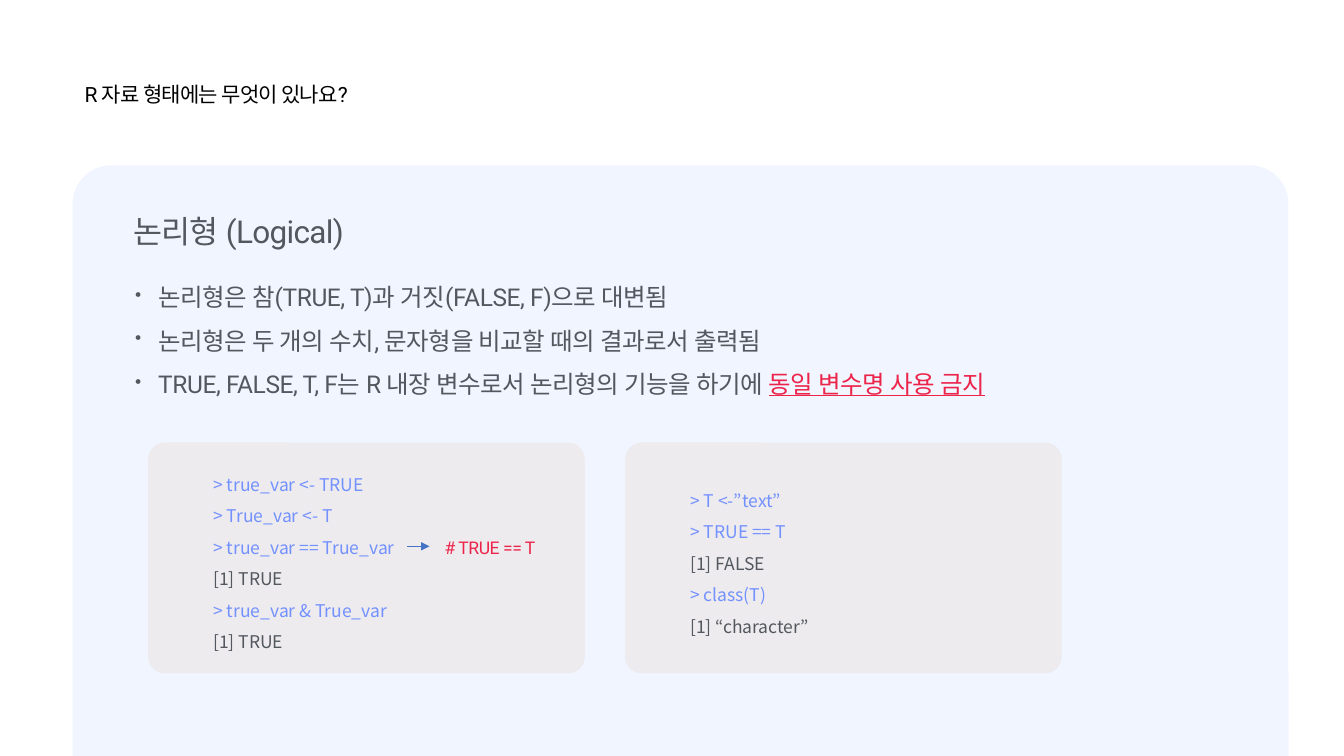
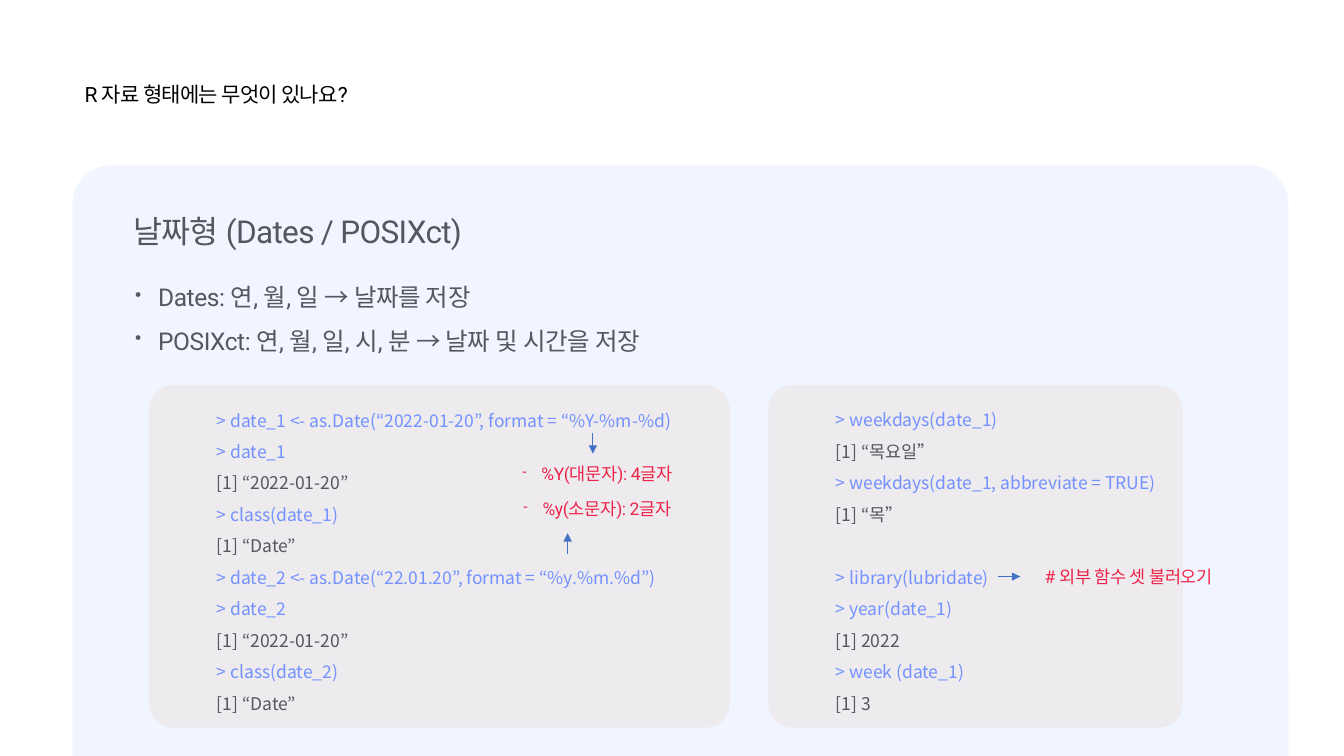
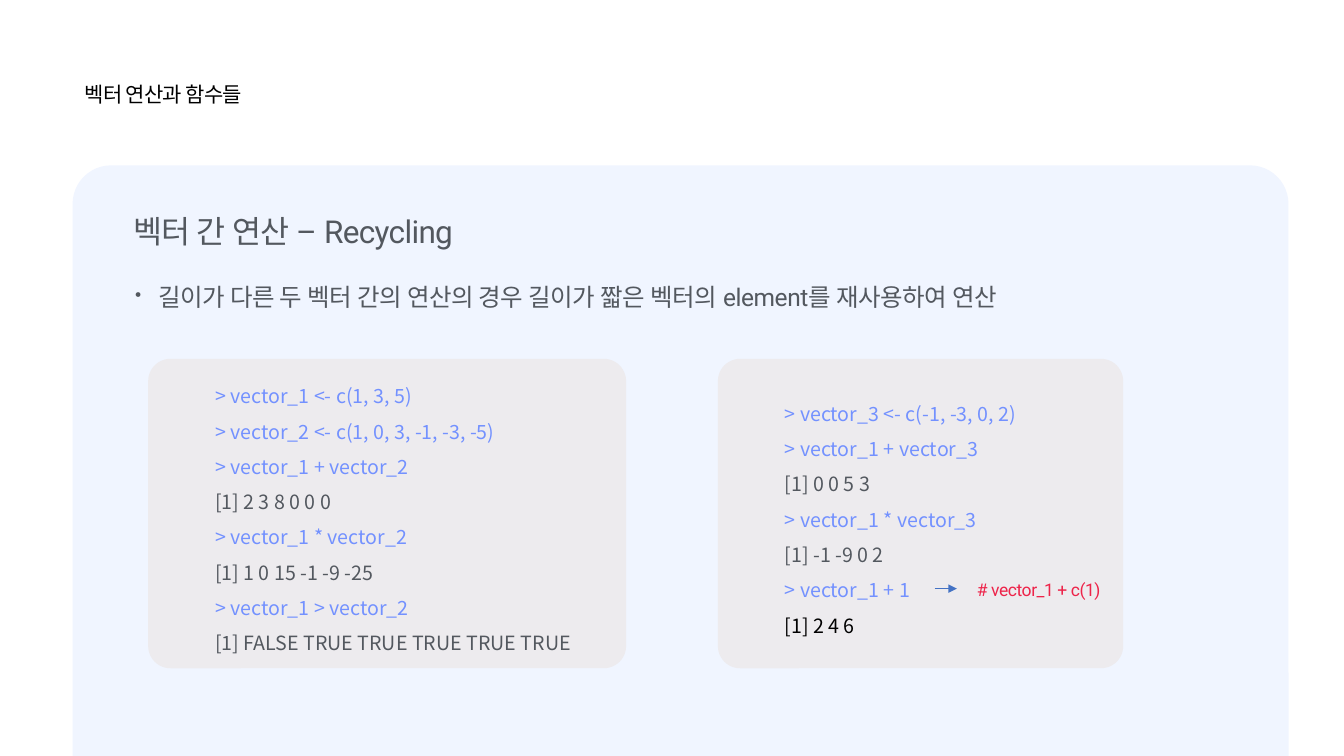
import dataclasses

import pptx
import pptx.dml.color
import pptx.enum.shapes
import pptx.enum.text
import pptx.oxml.ns
import pptx.util
from lxml import etree

PX = 9144  # EMU in one px, 100 px to the inch
ALIGN = pptx.enum.text.PP_ALIGN
SHAPE = pptx.enum.shapes.MSO_SHAPE
ANCHOR = pptx.enum.text.MSO_ANCHOR


@dataclasses.dataclass(frozen=True)
class TextStyle:
    size: float
    color: str
    font: str = "Roboto"
    tracking: int = 0  # hundredths of a point


class Theme:
    """Colours and type styles shared by all slides."""
    panel = "F0F5FF"
    code_box = "EDEBEE"
    arrow = "4472C4"
    black = "000000"
    gray = "53585F"
    command = "7391FF"
    accent = "ED244A"
    code_font = "Noto Sans CJK KR"
    title = TextStyle(15, black, tracking=-60)
    heading = TextStyle(22.5, gray, tracking=-50)
    body = TextStyle(17.5, gray, tracking=-30)
    note = TextStyle(12.5, accent, tracking=-30)


def rgb(color):
    return pptx.dml.color.RGBColor.from_string(color)


def add_child(parent, tag, **attributes):
    return etree.SubElement(parent, pptx.oxml.ns.qn(tag), attributes)


class Deck:
    def __init__(self):
        self.presentation = pptx.Presentation()
        self.presentation.slide_width = 1333 * PX
        self.presentation.slide_height = 750 * PX
        self.slide = None

    # Formatting helpers
    def format_run(self, run, style, color=None):
        run.font.size = pptx.util.Pt(style.size)
        run.font.name = style.font
        run.font.color.rgb = rgb(color or style.color)
        properties = run._r.get_or_add_rPr()
        add_child(properties, "a:ea", typeface=style.font)
        if style.tracking:
            properties.set("spc", str(style.tracking))

    def set_indent(self, paragraph, left, bullet=None):
        properties = paragraph._p.get_or_add_pPr()
        properties.set("marL", str(left * PX))
        properties.set("indent", str(-left * PX if bullet else 0))
        if bullet:
            add_child(properties, "a:buSzPct", val="75000")
            add_child(properties, "a:buChar", char=bullet)

    def set_frame(self, text_frame, inset):
        text_frame.word_wrap = True
        text_frame.auto_size = pptx.enum.text.MSO_AUTO_SIZE.NONE
        text_frame.vertical_anchor = ANCHOR.TOP
        text_frame.margin_left = text_frame.margin_right = inset * PX
        text_frame.margin_top = text_frame.margin_bottom = inset * PX

    # Elements
    def add_slide(self, title, heading, bullets):
        """Start a slide with its title, panel, heading and bullet list."""
        layout = self.presentation.slide_layouts[5]
        self.slide = self.presentation.slides.add_slide(layout)
        placeholder = self.slide.shapes.title
        placeholder.left, placeholder.top = 83 * PX, 80 * PX
        placeholder.width, placeholder.height = 363 * PX, 27 * PX
        self.set_frame(placeholder.text_frame, 1)
        placeholder.text_frame.text = title
        paragraph = placeholder.text_frame.paragraphs[0]
        paragraph.alignment = ALIGN.LEFT
        paragraph.line_spacing = 1.0
        paragraph.space_before = pptx.util.Pt(0)
        self.format_run(paragraph.runs[0], Theme.title)

        self.add_rounded(72, 164, 1206, 628, Theme.panel, 0.061)
        self.add_text(131, 209, 682, 39, [heading], Theme.heading, inset=1)
        self.add_text(131, 277, 1140, 43 * len(bullets) - 7, bullets,
                      Theme.body, bullet="•", indent=23)

    def add_rounded(self, left, top, width, height, color, corner):
        shape = self.slide.shapes.add_shape(
            SHAPE.ROUNDED_RECTANGLE,
            left * PX, top * PX, width * PX, height * PX)
        shape.adjustments[0] = corner
        shape.shadow.inherit = False
        shape.fill.solid()
        shape.fill.fore_color.rgb = rgb(color)
        shape.line.fill.background()
        return shape

    def add_text(self, left, top, width, height, lines, style, inset=3,
                 bullet=None, indent=0, align=ALIGN.LEFT):
        """Write one paragraph a line; a pair adds an emphasised ending."""
        box = self.slide.shapes.add_textbox(
            left * PX, top * PX, width * PX, height * PX)
        text_frame = box.text_frame
        self.set_frame(text_frame, inset)
        for index, line in enumerate(lines):
            text, emphasis = line if isinstance(line, tuple) else (line, None)
            paragraph = (text_frame.add_paragraph() if index
                         else text_frame.paragraphs[0])
            paragraph.text = text
            paragraph.alignment = align
            paragraph.space_after = pptx.util.Pt(10)
            self.set_indent(paragraph, indent, bullet)
            self.format_run(paragraph.runs[0], style)
            if emphasis:
                run = paragraph.add_run()
                run.text = emphasis
                self.format_run(run, style, Theme.accent)
                run.font.underline = True

    def add_code(self, left, top, width, height, lines, size=12.5,
                 gap_before=None, last_color=Theme.gray):
        """Show console lines: commands in blue, results in gray."""
        shape = self.add_rounded(left, top, width, height,
                                 Theme.code_box, 0.072)
        text_frame = shape.text_frame
        text_frame.word_wrap = True
        text_frame.vertical_anchor = ANCHOR.MIDDLE
        text_frame.text = "\n".join(lines)
        style = TextStyle(size, Theme.gray, Theme.code_font)
        for index, paragraph in enumerate(text_frame.paragraphs):
            paragraph.alignment = ALIGN.LEFT
            paragraph.line_spacing = 1.5
            self.set_indent(paragraph, 50)
            if index == gap_before:
                paragraph.space_before = pptx.util.Pt(22.5)
            if lines[index].startswith(">"):
                color = Theme.command
            else:
                color = last_color if index == len(lines) - 1 else Theme.gray
            self.format_run(paragraph.runs[0], style, color)

    def add_arrow(self, x, y, dx=0, dy=0):
        arrow = self.slide.shapes.add_connector(
            pptx.enum.shapes.MSO_CONNECTOR.STRAIGHT,
            x * PX, y * PX, (x + dx) * PX, (y + dy) * PX)
        arrow.line.color.rgb = rgb(Theme.arrow)
        arrow.line.width = pptx.util.Pt(0.5)
        properties = arrow._element.spPr
        add_child(properties.find(pptx.oxml.ns.qn("a:ln")),
                  "a:tailEnd", type="triangle")
        add_child(properties, "a:effectLst")


def add_logical_slide(deck):
    deck.add_slide("R 자료 형태에는 무엇이 있나요?", "논리형 (Logical)", [
        "논리형은 참(TRUE, T)과 거짓(FALSE, F)으로 대변됨",
        "논리형은 두 개의 수치, 문자형을 비교할 때의 결과로서 출력됨",
        ("TRUE, FALSE, T, F는 R 내장 변수로서 논리형의 기능을 하기에 ",
         "동일 변수명 사용 금지"),
    ])
    deck.add_code(147, 439, 433, 229, [
        "> true_var <- TRUE",
        "> True_var <- T",
        "> true_var == True_var",
        "[1] TRUE",
        "> true_var & True_var",
        "[1] TRUE",
    ])
    deck.add_code(620, 439, 433, 229, [
        "> T <-”text”",
        "> TRUE == T",
        "[1] FALSE",
        "> class(T)",
        "[1] “character”",
    ])
    deck.add_text(415, 530, 142, 27, ["# TRUE == T"], Theme.note,
                  align=ALIGN.CENTER)
    deck.add_arrow(404, 542, dx=22)


def add_dates_slide(deck):
    deck.add_slide("R 자료 형태에는 무엇이 있나요?", "날짜형 (Dates / POSIXct)", [
        "Dates: 연, 월, 일 → 날짜를 저장",
        "POSIXct: 연, 월, 일, 시, 분 → 날짜 및 시간을 저장",
    ])
    deck.add_code(148, 382, 576, 340, [
        "> date_1 <- as.Date(“2022-01-20”, format = “%Y-%m-%d)",
        "> date_1",
        "[1] “2022-01-20”",
        "> class(date_1)",
        "[1] “Date”",
        "> date_2 <- as.Date(“22.01.20”, format = “%y.%m.%d”)",
        "> date_2",
        "[1] “2022-01-20”",
        "> class(date_2)",
        "[1] “Date”",
    ])
    deck.add_code(762, 382, 411, 340, [
        "> weekdays(date_1)",
        "[1] “목요일”",
        "> weekdays(date_1, abbreviate = TRUE)",
        "[1] “목”",
        "> library(lubridate)",
        "> year(date_1)",
        "[1] 2022",
        "> week (date_1)",
        "[1] 3",
    ], gap_before=4)
    # Notes on the format codes
    deck.add_text(499, 456, 187, 62, ["%Y(대문자): 4글자", "%y(소문자): 2글자"],
                  Theme.note, bullet="-", indent=19, align=ALIGN.CENTER)
    deck.add_arrow(588, 430, dy=20)
    deck.add_arrow(563, 550, dy=-21)
    # Note on the library
    deck.add_text(1006, 559, 227, 27, ["# 외부 함수 셋 불러오기"], Theme.note,
                  align=ALIGN.CENTER)
    deck.add_arrow(990, 572, dx=22)


def add_recycling_slide(deck):
    deck.add_slide("벡터 연산과 함수들", "벡터 간 연산 – Recycling", [
        "길이가 다른 두 벡터 간의 연산의 경우 길이가 짧은 벡터의 element를 재사용하여 연산",
    ])
    deck.add_code(147, 356, 474, 307, [
        "> vector_1 <- c(1, 3, 5)",
        "> vector_2 <- c(1, 0, 3, -1, -3, -5)",
        "> vector_1 + vector_2",
        "[1] 2 3 8 0 0 0",
        "> vector_1 * vector_2",
        "[1] 1 0 15 -1 -9 -25",
        "> vector_1 > vector_2",
        "[1] FALSE TRUE TRUE TRUE TRUE TRUE",
    ], size=14)
    deck.add_code(712, 356, 402, 307, [
        "> vector_3 <- c(-1, -3, 0, 2)",
        "> vector_1 + vector_3",
        "[1] 0 0 5 3",
        "> vector_1 * vector_3",
        "[1] -1 -9 0 2",
        "> vector_1 + 1",
        "[1] 2 4 6",
    ], size=14, last_color=Theme.black)
    deck.add_text(966, 571, 164, 27, ["# vector_1 + c(1)"], Theme.note)
    deck.add_arrow(927, 584, dx=22)


def main():
    deck = Deck()
    add_logical_slide(deck)
    add_dates_slide(deck)
    add_recycling_slide(deck)
    deck.presentation.save("out.pptx")


if __name__ == "__main__":
    main()
